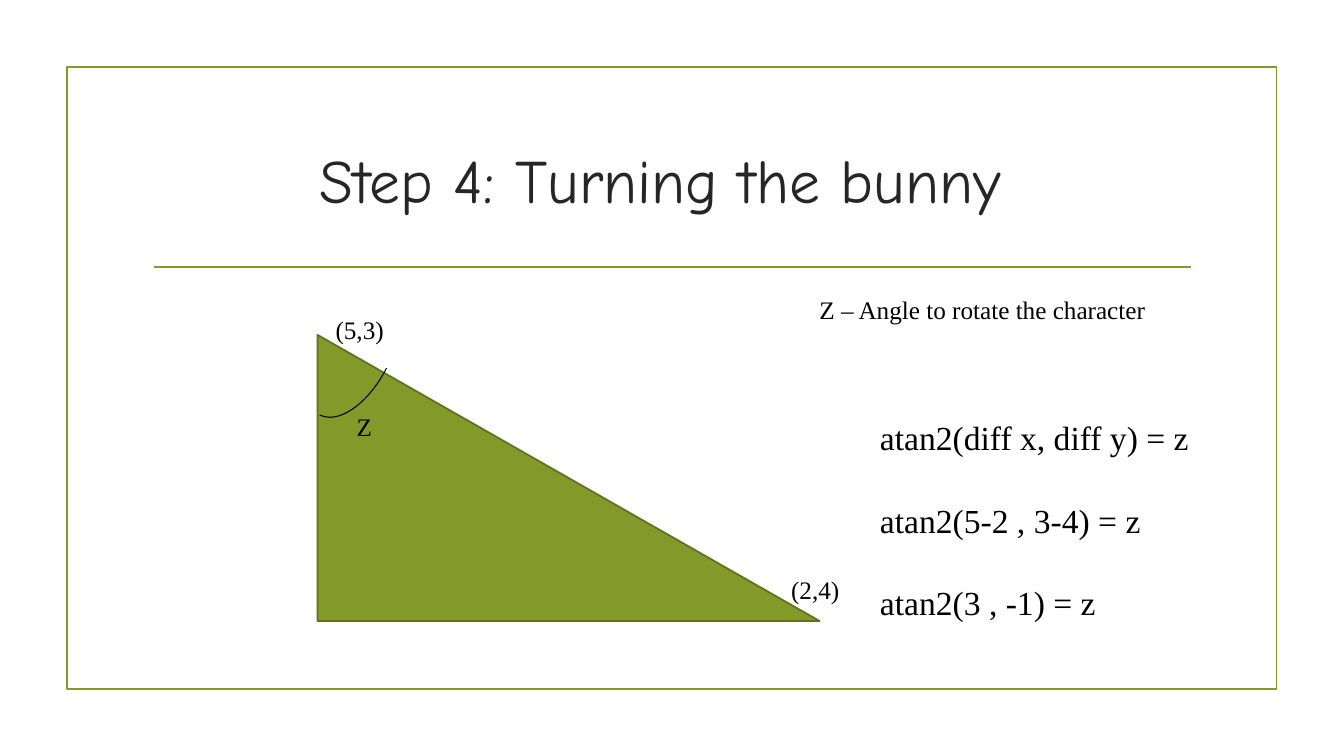
from pptx import Presentation
from pptx.dml.color import RGBColor
from pptx.enum.shapes import MSO_CONNECTOR, MSO_SHAPE
from pptx.enum.text import MSO_ANCHOR, MSO_AUTO_SIZE, PP_ALIGN
from pptx.oxml.ns import qn
from pptx.util import Pt
from lxml import etree

GREEN = RGBColor(0x83, 0x99, 0x2A)
DARK_GREEN = RGBColor(0x61, 0x71, 0x1F)
CHARCOAL = RGBColor(0x26, 0x26, 0x26)
BLACK = RGBColor(0, 0, 0)
RECTANGLE, TRIANGLE, ARC = MSO_SHAPE.RECTANGLE, MSO_SHAPE.RIGHT_TRIANGLE, MSO_SHAPE.ARC
STRAIGHT = MSO_CONNECTOR.STRAIGHT
TOP, MIDDLE = MSO_ANCHOR.TOP, MSO_ANCHOR.MIDDLE
LEFT, CENTER = PP_ALIGN.LEFT, PP_ALIGN.CENTER
NO_AUTOFIT = MSO_AUTO_SIZE.NONE


class TriangleSlide:
    title_font = "Comic Neue"
    body_font = "Times New Roman"

    def __init__(self, slide):
        self.shapes = slide.shapes

    def outline(self, kind, box, color, width, fill=None, rotation=0):
        figure = self.shapes.add_shape(kind, *map(Pt, box))
        figure.shadow.inherit = False
        figure.rotation = rotation
        if fill is None:
            figure.fill.background()
        else:
            figure.fill.solid()
            figure.fill.fore_color.rgb = fill
        figure.line.color.rgb = color
        figure.line.width = Pt(width)

    def rule(self, left, right, y):
        divider = self.shapes.add_connector(STRAIGHT, Pt(left), Pt(y), Pt(right), Pt(y))
        divider.line.color.rgb = GREEN
        divider.line.width = Pt(1.25)
        etree.SubElement(divider._element.spPr, qn("a:effectLst"))

    def text(self, lines, box, size=18, font=body_font, color=BLACK,
             align=LEFT, anchor=TOP, gap=0):
        frame = self.shapes.add_textbox(*map(Pt, box)).text_frame
        frame_format = {"word_wrap": True, "auto_size": NO_AUTOFIT, "vertical_anchor": anchor}
        for name, value in frame_format.items():
            setattr(frame, name, value)
        for index, line in enumerate(lines):
            paragraph = frame.paragraphs[0] if index == 0 else frame.add_paragraph()
            paragraph.alignment = align
            paragraph.space_before = Pt(gap if index else 0)
            run = paragraph.add_run()
            run.text = line
            for name, value in {"name": font, "size": Pt(size)}.items():
                setattr(run.font, name, value)
            run.font.color.rgb = color


def main():
    deck = Presentation()
    deck.slide_width, deck.slide_height = Pt(960), Pt(540)
    page = TriangleSlide(deck.slides.add_slide(deck.slide_layouts[6]))

    page.outline(RECTANGLE, (47.8, 48, 864, 444), GREEN, 1.25)
    page.rule(110, 850.5, 190.8)
    page.text(["Step 4: Turning the bunny"], (136, 68.4, 672, 118.8), 44,
              page.title_font, CHARCOAL, CENTER, MIDDLE)

    page.outline(TRIANGLE, (226.8, 239.2, 358.6, 204.4), DARK_GREEN, 1.25, GREEN)
    page.outline(ARC, (200.2, 223.2, 103, 54.7), BLACK, 0.75, rotation=117)

    labels = [
        ("Z", (247.7, 290.2, 24, 29)),
        ("(5,3)", (232.6, 221, 54.7, 29)),
        ("(2,4)", (558, 406.8, 54.7, 29)),
        ("Z – Angle to rotate the character", (578.2, 206.6, 316, 29)),
    ]
    for label, box in labels:
        page.text([label], box)

    steps = ["atan2(diff x, diff y) = z", "atan2(5-2 , 3-4) = z", "atan2(3 , -1) = z"]
    page.text(steps, (621.4, 294.5, 287.3, 152.6), 24, gap=30)

    deck.save("out.pptx")


if __name__ == "__main__":
    main()
